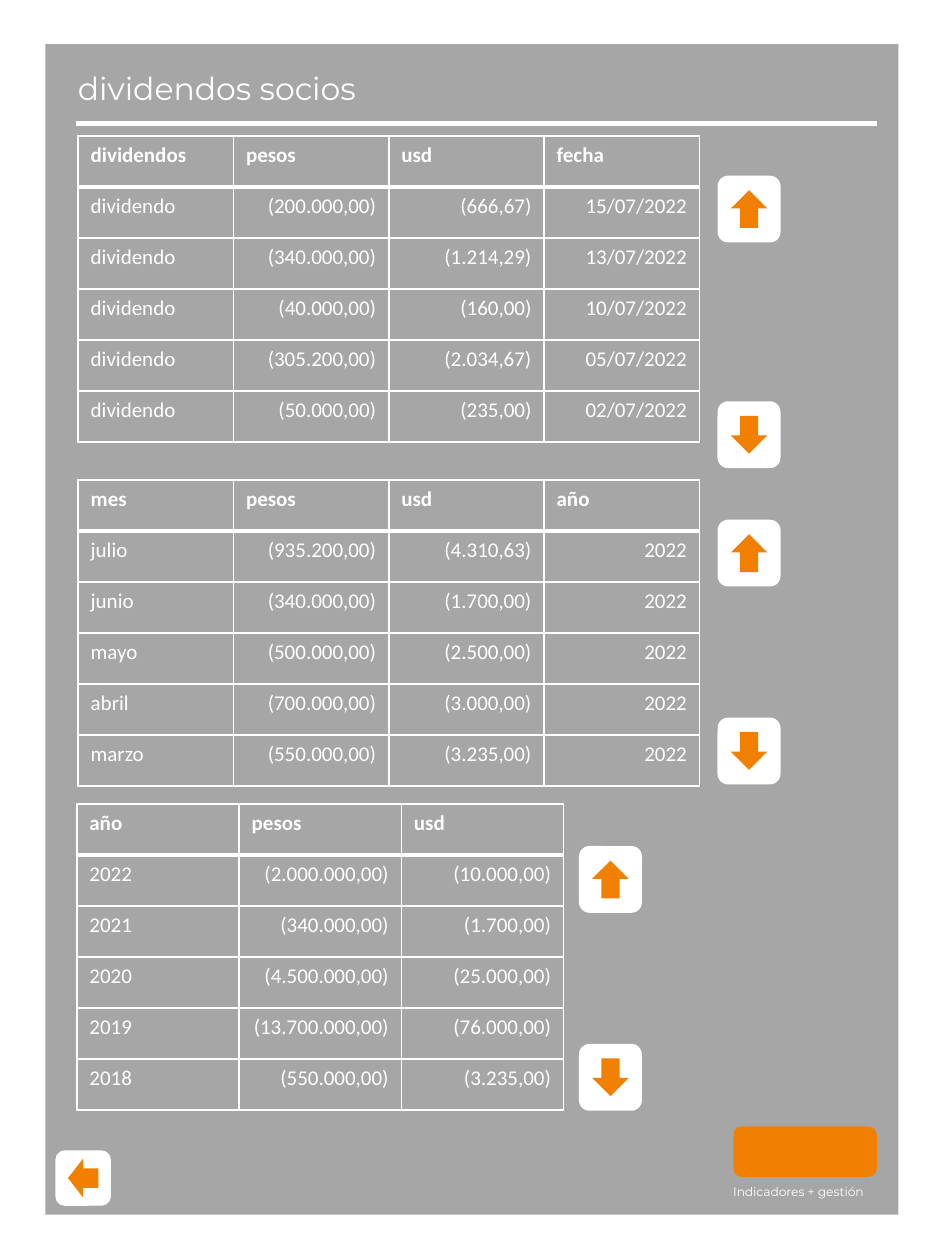
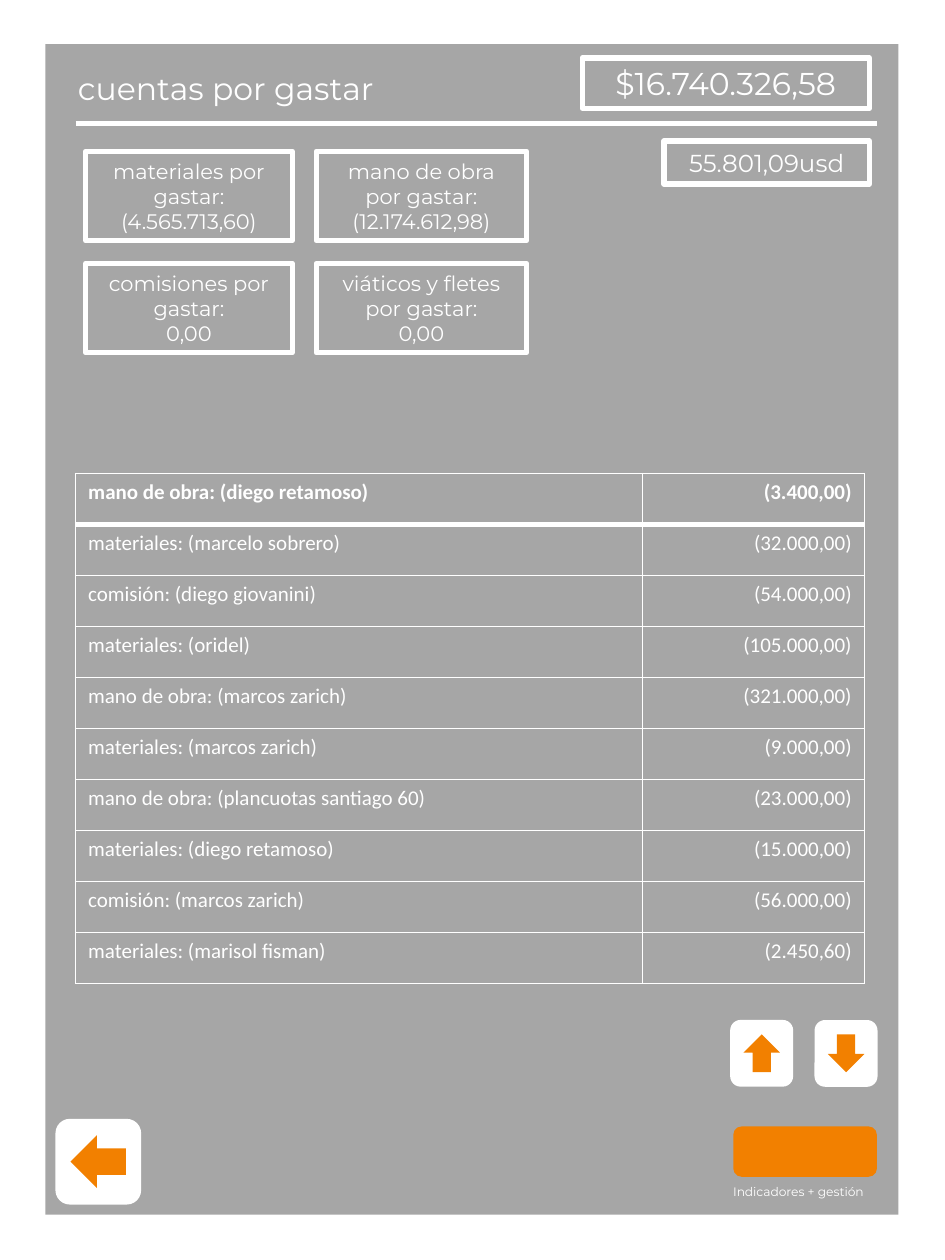
from lxml.etree import SubElement
from pptx import Presentation
from pptx.dml.color import RGBColor
from pptx.enum.shapes import MSO_CONNECTOR, MSO_SHAPE
from pptx.enum.text import MSO_ANCHOR, MSO_AUTO_SIZE, PP_ALIGN
from pptx.oxml.ns import qn
from pptx.util import Inches, Pt

GRID_COLUMNS, GRID_ROWS = 75, 100
UP, DOWN, BACK = 90, 270, 0


def colour(hex_code):
    return RGBColor.from_string(hex_code)


class Dashboard:
    white, grey, orange = "FFFFFF", "A6A6A6", "F28000"
    display_font, table_font = "Montserrat", "Calibri"
    row_height = 4.05
    thin, thick = 1, 3

    def __init__(self):
        self.deck = Presentation()
        self.deck.slide_width, self.deck.slide_height = Inches(7.5), Inches(10)
        self.shapes = None

    def x(self, columns):
        return round(self.deck.slide_width * columns / GRID_COLUMNS)

    def y(self, rows):
        return round(self.deck.slide_height * rows / GRID_ROWS)

    def frame(self, left, top, width, height):
        return self.x(left), self.y(top), self.x(width), self.y(height)

    def page(self, title):
        self.shapes = self.deck.slides.add_slide(self.deck.slide_layouts[6]).shapes
        self.shape(MSO_SHAPE.RECTANGLE, (3.6, 3.5, 67.7, 92.9), self.grey)
        self.shape(MSO_SHAPE.ROUNDED_RECTANGLE, (58.2, 89.4, 11.4, 4), self.orange)
        self.label((57.2, 93.5, 15, 2.2), "Indicadores + gestión", 7)
        self.label((5.2, 5, 58.6, 4), title, 18)
        self.rule(6, 69.6, 9.8)

    def shape(self, preset, place, fill=None):
        item = self.shapes.add_shape(preset, *self.frame(*place))
        item.shadow.inherit = False
        if fill:
            item.fill.solid()
            item.fill.fore_color.rgb = colour(fill)
        else:
            item.fill.background()
        item.line.fill.background()
        return item

    def words(self, paragraph, wording, size, font, align, bold=False):
        paragraph.alignment = align
        run = paragraph.add_run()
        run.text = wording
        run.font.size = Pt(size)
        run.font.name = font
        run.font.bold = bold
        run.font.color.rgb = colour(self.white)

    def fill_frame(self, text_frame, lines, size, align, anchor):
        text_frame.word_wrap = True
        text_frame.auto_size = MSO_AUTO_SIZE.SHAPE_TO_FIT_TEXT
        text_frame.vertical_anchor = anchor
        for index, line in enumerate(lines):
            paragraph = text_frame.add_paragraph() if index else text_frame.paragraphs[0]
            self.words(paragraph, line, size, self.display_font, align)

    def label(self, place, wording, size):
        area = self.shapes.add_textbox(*self.frame(*place))
        self.fill_frame(area.text_frame, [wording], size, PP_ALIGN.LEFT, MSO_ANCHOR.TOP)

    def figure(self, place, lines, size):
        outline = self.shape(MSO_SHAPE.RECTANGLE, place)
        outline.line.color.rgb = colour(self.white)
        outline.line.width = Pt(self.thick)
        self.fill_frame(outline.text_frame, lines, size, PP_ALIGN.CENTER, MSO_ANCHOR.MIDDLE)

    def rule(self, start, end, top):
        line = self.shapes.add_connector(
            MSO_CONNECTOR.STRAIGHT, self.x(start), self.y(top), self.x(end), self.y(top))
        line.line.color.rgb = colour(self.white)
        line.line.width = Pt(self.thick)
        SubElement(line._element.spPr, qn("a:effectLst"))

    def button(self, left, top, direction, size=(5.3, 5), arrow=(3, 2.9)):
        key = self.shape(MSO_SHAPE.ROUNDED_RECTANGLE, (left, top, *size), self.white)
        inset = [(outer - inner) / 2 for outer, inner in zip(size, arrow)]
        pointer = self.shape(
            MSO_SHAPE.LEFT_ARROW, (left + inset[0], top + inset[1], *arrow), self.orange)
        key.rotation = pointer.rotation = direction

    def border(self, cell, side, weight):
        edge = SubElement(cell._tc.get_or_add_tcPr(), qn(f"a:ln{side}"), w=str(Pt(weight)))
        paint = SubElement(edge, qn("a:solidFill"))
        SubElement(paint, qn("a:srgbClr"), val=self.white)

    def table(self, left, top, widths, records, header_align=PP_ALIGN.LEFT):
        place = self.frame(left, top, sum(widths), self.row_height * len(records))
        grid = self.shapes.add_table(len(records), len(widths), *place).table
        grid.first_row = grid.horz_banding = False
        for column, width in zip(grid.columns, widths):
            column.width = self.x(width)
        for r, record in enumerate(records):
            grid.rows[r].height = self.y(self.row_height)
            for c, value in enumerate(record):
                cell = grid.cell(r, c)
                for side in "LRTB":
                    under_header = (r, side) in ((0, "B"), (1, "T"))
                    self.border(cell, side, self.thick if under_header else self.thin)
                cell.fill.background()
                value_align = PP_ALIGN.RIGHT if r else header_align
                self.words(cell.text_frame.paragraphs[0], value, 12, self.table_font,
                           value_align if c else PP_ALIGN.LEFT, bold=r == 0)


PAYMENTS = [
    ("dividendos", "pesos", "usd", "fecha"),
    ("dividendo", "(200.000,00)", "(666,67)", "15/07/2022"),
    ("dividendo", "(340.000,00)", "(1.214,29)", "13/07/2022"),
    ("dividendo", "(40.000,00)", "(160,00)", "10/07/2022"),
    ("dividendo", "(305.200,00)", "(2.034,67)", "05/07/2022"),
    ("dividendo", "(50.000,00)", "(235,00)", "02/07/2022"),
]
MONTHS = [
    ("mes", "pesos", "usd", "año"),
    ("julio", "(935.200,00)", "(4.310,63)", "2022"),
    ("junio", "(340.000,00)", "(1.700,00)", "2022"),
    ("mayo", "(500.000,00)", "(2.500,00)", "2022"),
    ("abril", "(700.000,00)", "(3.000,00)", "2022"),
    ("marzo", "(550.000,00)", "(3.235,00)", "2022"),
]
YEARS = [
    ("año", "pesos", "usd"),
    ("2022", "(2.000.000,00)", "(10.000,00)"),
    ("2021", "(340.000,00)", "(1.700,00)"),
    ("2020", "(4.500.000,00)", "(25.000,00)"),
    ("2019", "(13.700.000,00)", "(76.000,00)"),
    ("2018", "(550.000,00)", "(3.235,00)"),
]
EXPENSES = [
    ("mano de obra: (diego retamoso)", "(3.400,00)"),
    ("materiales: (marcelo sobrero)", "(32.000,00)"),
    ("comisión: (diego giovanini)", "(54.000,00)"),
    ("materiales: (oridel)", "(105.000,00)"),
    ("mano de obra: (marcos zarich)", "(321.000,00)"),
    ("materiales: (marcos zarich)", "(9.000,00)"),
    ("mano de obra: (plancuotas santiago 60)", "(23.000,00)"),
    ("materiales: (diego retamoso)", "(15.000,00)"),
    ("comisión: (marcos zarich)", "(56.000,00)"),
    ("materiales: (marisol fisman)", "(2.450,60)"),
]
PENDING = [
    [("materiales por gastar:", "(4.565.713,60)"), ("mano de obra por gastar:", "(12.174.612,98)")],
    [("comisiones por gastar:", "0,00"), ("viáticos y fletes por gastar:", "0,00")],
]


def partner_dividends(board):
    board.page("dividendos socios")
    board.button(4.4, 91.3, BACK, (4.4, 4.4), (2.4, 3.1))
    sections = [
        (PAYMENTS, 6.2, 10.8, 12.33, 56.8, 14.1, 32),
        (MONTHS, 6.2, 38.1, 12.33, 56.8, 41.4, 57.1),
        (YEARS, 6.1, 63.8, 12.88, 45.8, 67.3, 83),
    ]
    for records, left, top, width, button_left, up_top, down_top in sections:
        board.table(left, top, [width] * len(records[0]), records)
        board.button(button_left, down_top, DOWN)
        board.button(button_left, up_top, UP)


def pending_accounts(board):
    board.page("cuentas por gastar")
    board.button(4.4, 88.8, BACK, (6.8, 6.8), (4.4, 4.2))
    board.table(6, 37.6, [45, 17.6], EXPENSES, PP_ALIGN.RIGHT)
    board.button(64.5, 81.1, DOWN)
    board.button(57.8, 81.1, UP)
    for row, accounts in enumerate(PENDING):
        for (left, width), account in zip([(6.8, 16.4), (25.1, 16.7)], accounts):
            board.figure((left, 12 + 8.9 * row, width, 7.1), account, 12)
    board.figure((52.7, 11.2, 16.3, 3.4), ["55.801,09usd"], 14)
    board.figure((46.2, 4.6, 22.8, 4), ["$16.740.326,58"], 18)


def main():
    board = Dashboard()
    partner_dividends(board)
    pending_accounts(board)
    board.deck.save("out.pptx")


if __name__ == "__main__":
    main()
